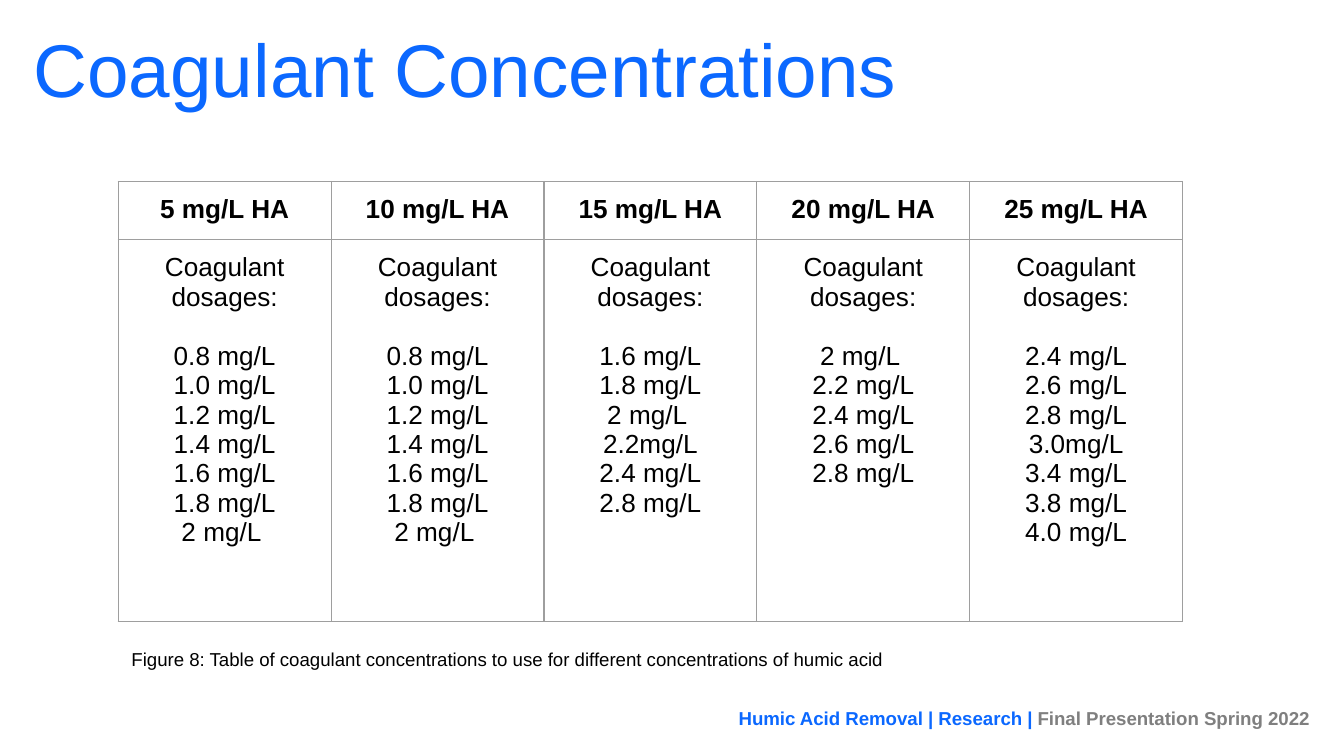
from lxml import etree
from pptx import Presentation
from pptx.dml.color import RGBColor
from pptx.enum.text import MSO_ANCHOR, MSO_AUTO_SIZE, PP_ALIGN
from pptx.oxml.ns import qn
from pptx.util import Inches, Pt

LEFT, CENTER, RIGHT = PP_ALIGN.LEFT, PP_ALIGN.CENTER, PP_ALIGN.RIGHT
TOP, BOTTOM = MSO_ANCHOR.TOP, MSO_ANCHOR.BOTTOM
NO_AUTOFIT = MSO_AUTO_SIZE.NONE

TITLE_ONLY = 5
BLUE, GRAY, BLACK, BORDER = "0B68FF", "7F7F7F", "000000", "9E9E9E"

LOW_DOSES = ["0.8 mg/L", "1.0 mg/L", "1.2 mg/L", "1.4 mg/L", "1.6 mg/L", "1.8 mg/L", "2 mg/L "]
DOSAGES = {
    "5 mg/L HA": LOW_DOSES,
    "10 mg/L HA": LOW_DOSES,
    "15 mg/L HA": ["1.6 mg/L", "1.8 mg/L", "2 mg/L ", "2.2mg/L", "2.4 mg/L", "2.8 mg/L"],
    "20 mg/L HA": ["2 mg/L ", "2.2 mg/L", "2.4 mg/L", "2.6 mg/L", "2.8 mg/L"],
    "25 mg/L HA": ["2.4 mg/L", "2.6 mg/L", "2.8 mg/L", "3.0mg/L", "3.4 mg/L", "3.8 mg/L",
                   "4.0 mg/L"],
}


def rgb(color):
    return RGBColor.from_string(color)


def style(p, size, color=BLACK, bold=False, align=LEFT):
    p.alignment = align
    p.font.name = "Arial"
    p.font.size = Pt(size)
    p.font.bold = bold
    p.font.color.rgb = rgb(color)


def set_margins(frame, x, y):
    """Works on text frames and table cells alike."""
    frame.margin_left = frame.margin_right = Inches(x)
    frame.margin_top = frame.margin_bottom = Inches(y)


def add_title(s, text):
    title = s.shapes.title
    title.left, title.top = Inches(0.12), Inches(0.29)
    title.width, title.height = Inches(6.9), Inches(0.68)
    tf = title.text_frame
    tf.text = text
    tf.auto_size = NO_AUTOFIT
    tf.vertical_anchor = BOTTOM
    set_margins(tf, 0.13, 0.13)
    style(tf.paragraphs[0], 40, BLUE)


def add_textbox(s, x, y, w, h, margin_y):
    tf = s.shapes.add_textbox(Inches(x), Inches(y), Inches(w), Inches(h)).text_frame
    tf.word_wrap = True
    set_margins(tf, 0.1, margin_y)
    return tf


def add_caption(s, text):
    tf = add_textbox(s, 0.88, 4.74, 7.46, 0.37, 0.1)
    tf.text = text
    style(tf.paragraphs[0], 10)


def add_footer(s, parts):
    p = add_textbox(s, 4.89, 5.21, 4.95, 0.27, 0.05).paragraphs[0]
    style(p, 10, bold=True, align=RIGHT)
    for text, color in parts:
        r = p.add_run()
        r.text = text
        r.font.color.rgb = rgb(color)


def set_borders(cell):
    tcPr = cell._tc.get_or_add_tcPr()
    for side in ("a:lnL", "a:lnR", "a:lnT", "a:lnB"):
        ln = etree.SubElement(tcPr, qn(side), w=str(Pt(0.75)))
        fill = etree.SubElement(ln, qn("a:solidFill"))
        etree.SubElement(fill, qn("a:srgbClr"), val=BORDER)


def fill_cell(cell, lines, bold=False):
    set_borders(cell)
    cell.fill.background()
    cell.vertical_anchor = TOP
    set_margins(cell, 0.1, 0.1)
    cell.text = "\n".join(lines)
    for p in cell.text_frame.paragraphs:
        style(p, 14, bold=bold, align=CENTER)


def add_dosage_table(s, dosages):
    width, row_heights = Inches(7.92), (0.36, 2.84)
    n = len(dosages)
    table = s.shapes.add_table(2, n, Inches(0.88), Inches(1.35), width,
                               Inches(sum(row_heights))).table
    table.first_row = table.horz_banding = False
    for row, height in zip(table.rows, row_heights):
        row.height = Inches(height)
    for i, (heading, doses) in enumerate(dosages.items()):
        table.columns[i].width = width // n
        fill_cell(table.cell(0, i), [heading], bold=True)
        body = table.cell(1, i)
        fill_cell(body, ["Coagulant dosages:", *doses])
        body.text_frame.paragraphs[0].space_after = Pt(16)


def main():
    prs = Presentation()
    prs.slide_width = Inches(10)
    prs.slide_height = prs.slide_width * 9 // 16
    s = prs.slides.add_slide(prs.slide_layouts[TITLE_ONLY])
    add_title(s, "Coagulant Concentrations")
    add_footer(s, [("Humic Acid Removal | Research | ", BLUE),
                   ("Final Presentation Spring 2022", GRAY)])
    add_dosage_table(s, DOSAGES)
    add_caption(s, "Figure 8: Table of coagulant concentrations to use for "
                   "different concentrations of humic acid")
    prs.save("out.pptx")


if __name__ == "__main__":
    main()
